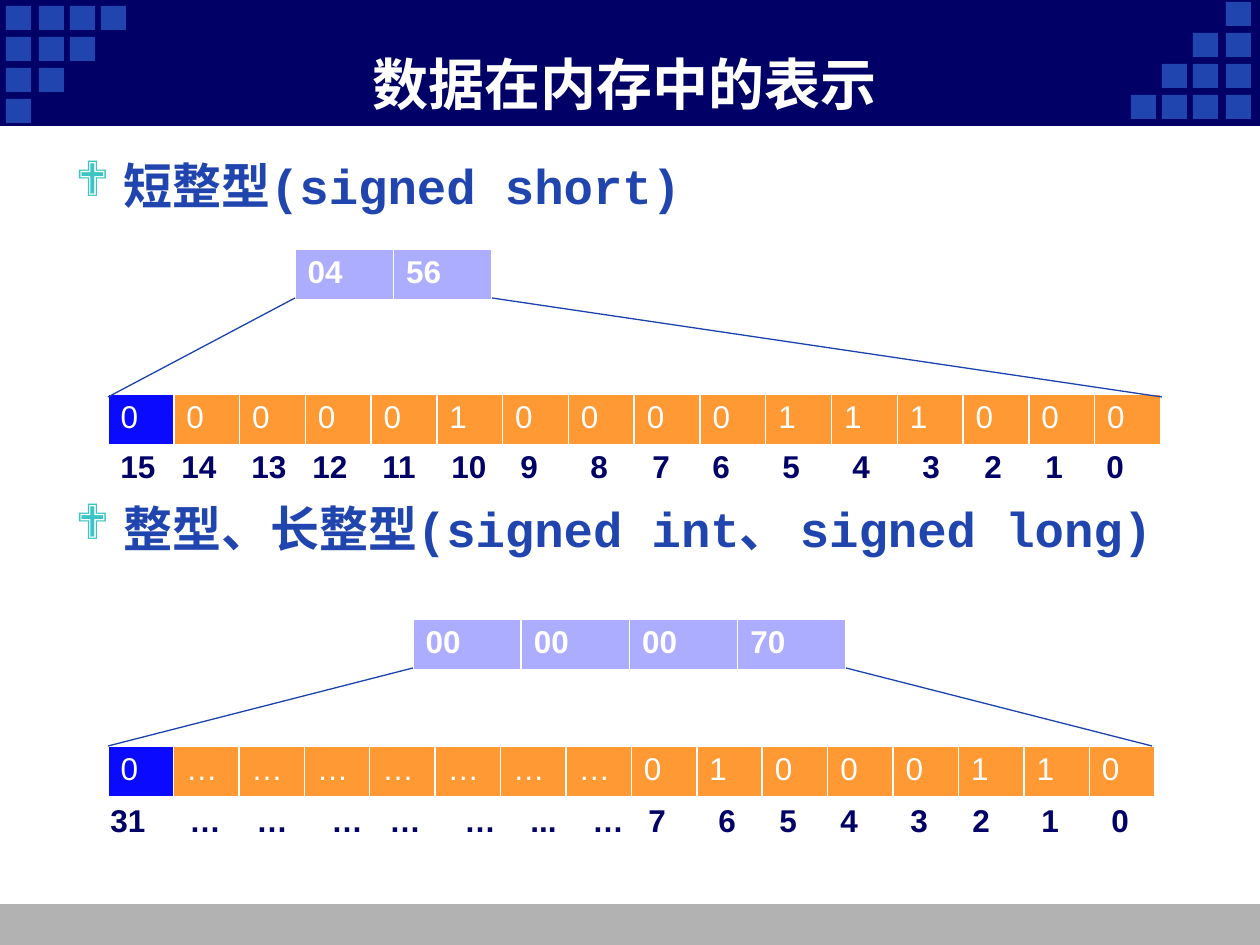
from lxml.etree import SubElement
from pptx import Presentation
from pptx.dml.color import RGBColor
from pptx.enum.shapes import MSO_CONNECTOR, MSO_SHAPE
from pptx.enum.text import MSO_ANCHOR, PP_ALIGN
from pptx.oxml.ns import qn
from pptx.util import Pt

SCALE = 7257.6
HUES = {"navy": "000066", "blue": "2045AE", "grey": "B2B2B2", "teal": "3DC5C5",
        "lilac": "ADADFF", "sign": "0A0AFF", "orange": "FF9933",
        "ray": "1C42AE", "white": "FFFFFF"}


def px(n):
    """Turn px into EMU."""
    return round(n * SCALE)


def rgb(name):
    """Look up a named colour."""
    return RGBColor.from_string(HUES[name])


def style(par, size, hue, bold=True, face="Arial"):
    """Set the font of a paragraph."""
    font = par.font
    font.size, font.bold, font.name = Pt(size), bold, face
    font.color.rgb = rgb(hue)


def block(slide, box, hue):
    """Draw a plain rectangle."""
    shape = slide.shapes.add_shape(MSO_SHAPE.RECTANGLE, *map(px, box))
    shape.shadow.inherit = False
    shape.fill.solid()
    shape.fill.fore_color.rgb = rgb(hue)
    shape.line.fill.background()


def label(slide, box, text):
    """Add a wrapping text box and return its paragraph."""
    frame = slide.shapes.add_textbox(*map(px, box)).text_frame
    frame.word_wrap = True
    par = frame.paragraphs[0]
    par.text = text
    return par


def header(slide, box, text):
    """Draw the title band with stepped squares in two corners."""
    left, top, width, height = box
    block(slide, box, "navy")
    for row in range(4):
        for col in range(4 - row):
            x, y = 6 + 31 * col + (col > 0) * 2, 6 + 31 * row
            block(slide, (left + x, top + y, 25, 24), "blue")
            block(slide, (left + width - 28 - x, top + 101 - y, 25, 24), "blue")
    title = slide.shapes.title
    title.left, title.top = px(left + 116), px(top + 44)
    title.width, title.height = px(1018), px(78)
    title.text_frame.text = text
    title.text_frame.vertical_anchor = MSO_ANCHOR.MIDDLE
    par = title.text_frame.paragraphs[0]
    par.alignment = PP_ALIGN.CENTER
    style(par, 32, "white")
    slide.shapes._spTree.append(title._element)


def heading(slide, box, text):
    """Add a bulleted heading with a hanging indent."""
    par = label(slide, box, text)
    props = par._p.get_or_add_pPr()
    props.set("marL", str(px(48)))
    props.set("indent", str(-px(48)))
    tint = SubElement(props, qn("a:buClr"))
    SubElement(tint, qn("a:srgbClr"), val=HUES["teal"])
    SubElement(props, qn("a:buFont"), typeface="Wingdings")
    SubElement(props, qn("a:buChar"), char="❖")
    style(par, 28, "blue", face="Courier New")


def edge(cell):
    """Give a cell white borders, thick at the bottom."""
    props = cell._tc.get_or_add_tcPr()
    for spot, (side, wide) in enumerate(zip("LRTB", (1, 1, 1, 3))):
        line = SubElement(props, qn("a:ln" + side), w=str(Pt(wide)))
        props.insert(spot, line)
        fill = SubElement(line, qn("a:solidFill"))
        SubElement(fill, qn("a:srgbClr"), val=HUES["white"])


def strip(slide, box, words, hues, bold):
    """Add a one-row table of equal cells."""
    count = len(words)
    table = slide.shapes.add_table(1, count, *map(px, box)).table
    table.first_row = table.horz_banding = False
    for col, cell, word, hue in zip(table.columns, table.iter_cells(), words, hues):
        col.width = px(box[2] / count)
        cell.text = word
        cell.fill.solid()
        cell.fill.fore_color.rgb = rgb(hue)
        edge(cell)
        style(cell.text_frame.paragraphs[0], 18, "white", bold)


def ray(slide, start, end):
    """Draw a thin line between two points."""
    line = slide.shapes.add_connector(MSO_CONNECTOR.STRAIGHT, *map(px, start + end))
    line.line.color.rgb = rgb("ray")
    line.line.width = Pt(0.75)
    SubElement(line._element.spPr, qn("a:effectLst"))


def scale(slide, box, words, stops):
    """Number the bits along tab stops."""
    par = label(slide, box, "\t".join(words))
    tabs = SubElement(par._p.get_or_add_pPr(), qn("a:tabLst"))
    for stop in stops:
        SubElement(tabs, qn("a:tab"), pos=str(px(stop)), algn="l")
    style(par, 18, "navy")


def layout(slide, box, data):
    """Show how the bytes of a type spread into bits."""
    left, top, width, height = box
    heading(slide, (left, top, width, 62), data["head"])
    x, y, wide = data["bytes"]
    x, y = left + x, top + y
    words = data["hex"].split()
    strip(slide, (x, y, wide, 52), words, ["lilac"] * len(words), True)
    low, span = top + data["low"], data["span"]
    start = left + 45
    strip(slide, (start, low, span, 52), data["bits"].split(),
          ["sign"] + ["orange"] * 15, False)
    foot = low + data["drop"]
    ray(slide, (x, y + 49), (start, foot))
    ray(slide, (x + wide, y + 49), (left + data["end"], foot))
    shift, down = data["shift"]
    scale(slide, (left + shift, low + down, 1063, 50), data["index"].split(), data["stops"])


SHORT = {
    "head": "短整型(signed short)", "hex": "04 56", "bytes": (232, 100, 197),
    "bits": "0 0 0 0 0 1 0 0 0 0 1 1 1 0 0 0", "low": 245, "span": 1053,
    "drop": 3, "end": 1099, "shift": (45, 47),
    "index": "15 14 13 12 11 10 9 8 7 6 5 4 3 2 1 0",
    "stops": (61, 131, 192, 262, 331, 400, 470, 532, 592, 662, 732, 802, 864, 925, 986)}
LONG = {
    "head": "整型、长整型(signed int、 signed long)", "hex": "00 00 00 70",
    "bytes": (350, 127, 433),
    "bits": "0 … … … … … … … 0 1 0 0 0 1 1 0", "low": 254, "span": 1047,
    "drop": 0, "end": 1089, "shift": (35, 49),
    "index": "31 … … … … … ... … 7 6 5 4 3 2 1 0",
    "stops": (79, 146, 221, 279, 354, 420, 482, 538, 608, 669, 730, 800, 862, 931, 1001)}


def main():
    """Build the slide and save it."""
    deck = Presentation()
    deck.slide_width, deck.slide_height = px(1260), px(945)
    slide = deck.slides.add_slide(deck.slide_layouts[5])
    block(slide, (0, 904, 1260, 41), "grey")
    header(slide, (0, 0, 1260, 126), "数据在内存中的表示")
    layout(slide, (63, 149, 1134, 342), SHORT)
    layout(slide, (63, 492, 1134, 353), LONG)
    deck.save("out.pptx")


if __name__ == "__main__":
    main()
